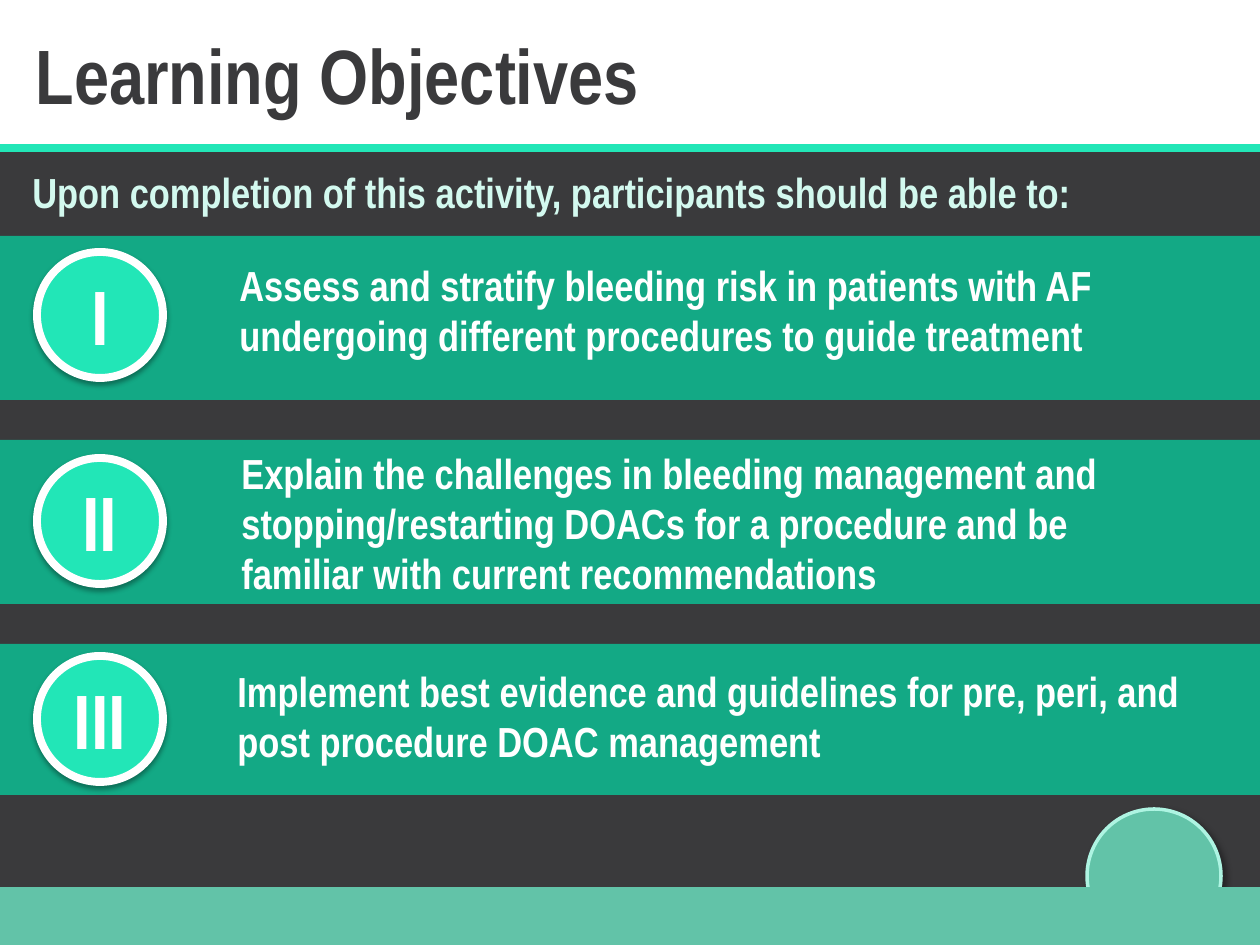
import pptx
import pptx.util
import pptx.dml.color
import pptx.enum.shapes
import pptx.enum.text
import pptx.oxml
import pptx.oxml.ns

SCALE = 914400 / 126
WIDTH, HEIGHT = 1260, 945
FONT = "Arial Narrow"
COLORS = {
    "white": "FFFFFF",
    "dark": "3A3A3C",
    "bright": "22E6B7",
    "band": "13A985",
    "intro": "D3F9EF",
    "footer": "62C3A8",
    "rim": "AEF4E2",
}
SHAPES = pptx.enum.shapes.MSO_SHAPE
ALIGN = pptx.enum.text.PP_ALIGN
ANCHOR = pptx.enum.text.MSO_ANCHOR


def px(value):
    return pptx.util.Emu(round(value * SCALE))


def rgb(name):
    return pptx.dml.color.RGBColor.from_string(COLORS[name])


def write(frame, text, size=24, color="white", align=ALIGN.LEFT, anchor=ANCHOR.TOP):
    frame.word_wrap = True
    frame.auto_size = pptx.enum.text.MSO_AUTO_SIZE.NONE
    frame.vertical_anchor = anchor
    para = frame.paragraphs[0]
    para.alignment = align
    span = para.add_run()
    span.text = text
    span.font.name = FONT
    span.font.size = pptx.util.Pt(size)
    span.font.bold = True
    span.font.color.rgb = rgb(color)


class Painter:
    def __init__(self, deck):
        self.page = deck.slides.add_slide(deck.slide_layouts[5])

    def title(self, text, left, top, width, height):
        box = self.page.shapes.title
        box.left, box.top, box.width, box.height = map(px, (left, top, width, height))
        write(box.text_frame, text, size=44, color="dark")

    def text(self, text, left, top, width, height, **style):
        box = self.page.shapes.add_textbox(*map(px, (left, top, width, height)))
        write(box.text_frame, text, **style)

    def shape(self, kind, left, top, width, height, fill):
        shape = self.page.shapes.add_shape(kind, *map(px, (left, top, width, height)))
        shape.shadow.inherit = False
        shape.fill.solid()
        shape.fill.fore_color.rgb = rgb(fill)
        shape.line.fill.background()
        return shape

    def strip(self, top, height, fill):
        return self.shape(SHAPES.RECTANGLE, 0, top, WIDTH, height, fill)

    def disc(self, left, top, size, fill, rim, rim_width, blur, distance, angle, opacity):
        disc = self.shape(SHAPES.FLOWCHART_CONNECTOR, left, top, size, size, fill)
        disc.line.color.rgb = rgb(rim)
        disc.line.width = pptx.util.Pt(rim_width)
        effects = disc._element.spPr.find(pptx.oxml.ns.qn("a:effectLst"))
        effects.append(pptx.oxml.parse_xml(
            f'<a:outerShdw {pptx.oxml.ns.nsdecls("a")} blurRad="{pptx.util.Pt(blur)}" '
            f'dist="{pptx.util.Pt(distance)}" dir="{angle * 60000}" rotWithShape="0">'
            f'<a:srgbClr val="000000"><a:alpha val="{opacity * 1000}"/></a:srgbClr>'
            '</a:outerShdw>'))
        return disc

    def numeral(self, text, top):
        disc = self.disc(37, top, 126, "bright", "white", 4.5, 3.1, 1.8, 90, 35)
        write(disc.text_frame, text, size=44, align=ALIGN.CENTER, anchor=ANCHOR.MIDDLE)

    def rule(self, top, color, width):
        rule = self.page.shapes.add_connector(
            pptx.enum.shapes.MSO_CONNECTOR.STRAIGHT, 0, px(top), px(WIDTH), px(top))
        rule.line.color.rgb = rgb(color)
        rule.line.width = pptx.util.Pt(width)
        rule._element.spPr.append(pptx.oxml.parse_xml(
            f'<a:effectLst {pptx.oxml.ns.nsdecls("a")}/>'))


OBJECTIVES = [
    ("I", 236, 164, 252, (227, 253, 997, 115),
     "Assess and stratify bleeding risk in patients with AF "
     "undergoing different procedures to guide treatment"),
    ("II", 440, 164, 458, (229, 441, 964, 165),
     "Explain the challenges in bleeding management and "
     "stopping/restarting DOACs for a procedure and be "
     "familiar with current recommendations"),
    ("III", 644, 151, 656, (225, 659, 997, 115),
     "Implement best evidence and guidelines for pre, peri, and "
     "post procedure DOAC management"),
]


def main():
    deck = pptx.Presentation()
    deck.slide_width, deck.slide_height = px(WIDTH), px(HEIGHT)
    painter = Painter(deck)
    painter.title("Learning Objectives", 23, 21, 1111, 106)
    painter.strip(148, 739, "dark")
    painter.rule(148, "bright", 4.5)
    painter.text("Upon completion of this activity, participants should be able to:",
                 20, 160, 1196, 76, color="intro")
    for numeral, top, height, disc_top, place, objective in OBJECTIVES:
        painter.strip(top, height, "band")
        painter.numeral(numeral, disc_top)
        painter.text(objective, *place)
    painter.disc(1087, 809, 134, "footer", "rim", 2, 4, 3, 45, 40)
    painter.strip(887, 58, "footer")
    deck.save("out.pptx")


if __name__ == "__main__":
    main()
